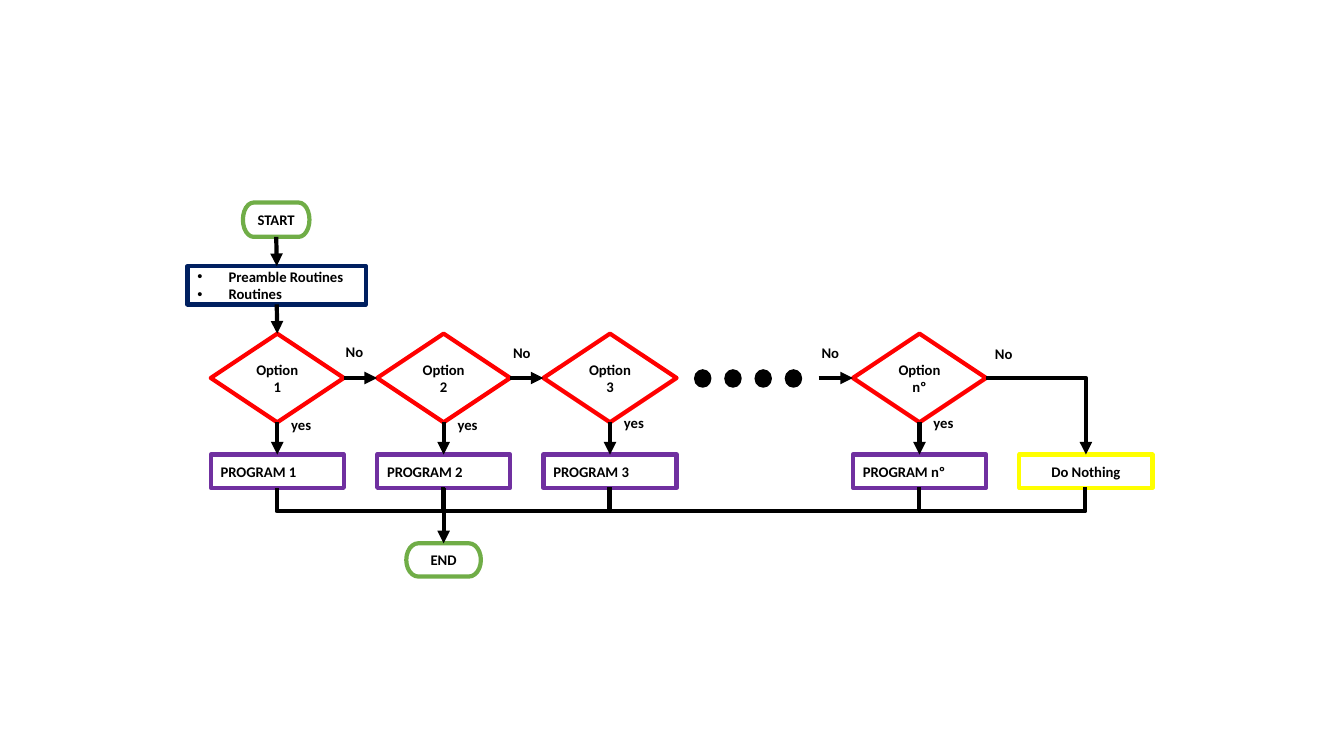
from lxml import etree
from pptx import Presentation
from pptx.dml.color import RGBColor
from pptx.enum import shapes, text
from pptx.oxml import ns
from pptx.util import Inches, Pt

BLACK = RGBColor(0x00, 0x00, 0x00)
GREEN = RGBColor(0x70, 0xAD, 0x47)
RED = RGBColor(0xFF, 0x00, 0x00)
NAVY = RGBColor(0x00, 0x20, 0x60)
PURPLE = RGBColor(0x70, 0x30, 0xA0)
YELLOW = RGBColor(0xFF, 0xFF, 0x00)
KIND = shapes.MSO_SHAPE
LINK = shapes.MSO_CONNECTOR
CENTER, LEFT = text.PP_ALIGN.CENTER, text.PP_ALIGN.LEFT
TOP, LEFT_SIDE, BOTTOM, RIGHT_SIDE = range(4)

deck = Presentation()
deck.slide_width, deck.slide_height = Inches(13.33), Inches(7.5)
page = deck.slides.add_slide(deck.slide_layouts[6])


def add_box(kind, left, top, width, height, words="", color=None, align=CENTER):
    """Add an outlined step, or a plain label when kind is None."""
    place = [Inches(value) for value in (left, top, width, height)]
    if kind is None:
        box = page.shapes.add_textbox(*place)
        box.text_frame.word_wrap = False
        box.text_frame.auto_size = text.MSO_AUTO_SIZE.SHAPE_TO_FIT_TEXT
    else:
        box = page.shapes.add_shape(kind, *place)
        box.shadow.inherit = False
        box.fill.background()
        box.line.color.rgb = color
        box.line.width = Pt(3)
        box.text_frame.vertical_anchor = text.MSO_ANCHOR.MIDDLE
    box.text_frame.text = words
    for para in box.text_frame.paragraphs:
        para.alignment = align
        for span in para.runs:
            span.font.name, span.font.size = "Calibri", Pt(10.5)
            span.font.bold, span.font.color.rgb = True, BLACK
    return box


def add_link(kind, start, end, arrow=True):
    """Add a thick black connector between two points."""
    link = page.shapes.add_connector(kind, *[Inches(value) for value in (*start, *end)])
    link.line.color.rgb = BLACK
    link.line.width = Pt(3)
    if arrow:
        etree.SubElement(link.line._get_or_add_ln(), ns.qn("a:tailEnd"), type="triangle")
    etree.SubElement(link._element.spPr, ns.qn("a:effectLst"))
    return link


# Start, end and preamble
start = add_box(KIND.FLOWCHART_TERMINATOR, 2.41, 2.01, 0.66, 0.34, "START", GREEN)
finish = add_box(KIND.FLOWCHART_TERMINATOR, 4.03, 5.39, 0.74, 0.33, "END", GREEN)
for box in (start, finish):
    box.text_frame.margin_left = box.text_frame.margin_right = 0
preamble = add_box(KIND.FLOWCHART_PROCESS, 1.86, 2.64, 1.77, 0.38,
                   "Preamble Routines\nRoutines", NAVY, LEFT)
for para in preamble.text_frame.paragraphs:
    props = para._p.get_or_add_pPr()
    props.set("marL", str(Inches(0.31)))
    props.set("indent", str(-Inches(0.31)))
    etree.SubElement(props, ns.qn("a:buFont"), typeface="Arial")
    etree.SubElement(props, ns.qn("a:buChar"), char="•")

# Options, each above its program
centers = [2.75, 4.4, 6.05, 9.12]
options, programs = [], []
for center, number, yes_top in zip(centers, ("1", "2", "3", "nº"), (4.08, 4.08, 4.06, 4.06)):
    options.append(add_box(KIND.FLOWCHART_DECISION, center - 0.66, 3.31, 1.32, 0.88,
                           f"Option {number}", RED))
    programs.append(add_box(KIND.FLOWCHART_PROCESS, center - 0.66, 4.51, 1.32, 0.33,
                            f"PROGRAM {number}", PURPLE, LEFT))
    add_box(None, center + 0.04, yes_top, 0.41, 0.28, "yes", align=LEFT)
nothing = add_box(KIND.FLOWCHART_PROCESS, 10.11, 4.51, 1.32, 0.33, "Do Nothing", YELLOW)

for left, top in [(3.33, 3.35), (4.99, 3.36), (8.05, 3.36), (9.77, 3.37)]:
    add_box(None, left, top, 0.38, 0.28, "No", align=LEFT)

# Dots for the options left out
for index in range(4):
    dot = add_box(KIND.FLOWCHART_CONNECTOR, 6.89 + 0.3 * index, 3.67, 0.16, 0.17, color=BLACK)
    dot.fill.solid()
    dot.fill.fore_color.rgb = BLACK
    dot.line.width = Pt(1)

# Straight arrows glued to the steps
downward = [(start, preamble), (preamble, options[0]), (programs[1], finish)]
downward += zip(options, programs)
glued = [(source, BOTTOM, target, TOP) for source, target in downward]
glued += [(options[i], RIGHT_SIDE, options[i + 1], LEFT_SIDE) for i in (0, 1)]
for source, source_side, target, target_side in glued:
    arrow = add_link(LINK.STRAIGHT, (0, 0), (1, 1))
    arrow.begin_connect(source, source_side)
    arrow.end_connect(target, target_side)
add_link(LINK.STRAIGHT, (8.12, 3.75), (8.46, 3.75))

# Last "No" turns down to Do Nothing
turn = add_link(LINK.ELBOW, (9.78, 3.75), (10.77, 4.51))
turn._element.spPr.find(ns.qn("a:prstGeom")).set("prst", "bentConnector2")

# Return lines: quarter-turned elbows dipping 0.24 inches below the programs
ends = centers + [10.77]
for left, right in zip(ends, ends[1:]):
    middle, half = (left + right) / 2, (right - left) / 2
    bus = add_link(LINK.ELBOW, (middle - 0.01, 4.84 - half), (middle, 4.84 + half), arrow=False)
    bus._element.spPr.find(ns.qn("a:xfrm")).set("rot", "5400000")
    guides = bus._element.spPr.find(ns.qn("a:prstGeom")).get_or_add_avLst()
    etree.SubElement(guides, ns.qn("a:gd"), name="adj1", fmla="val 2400000")

deck.save("out.pptx")
